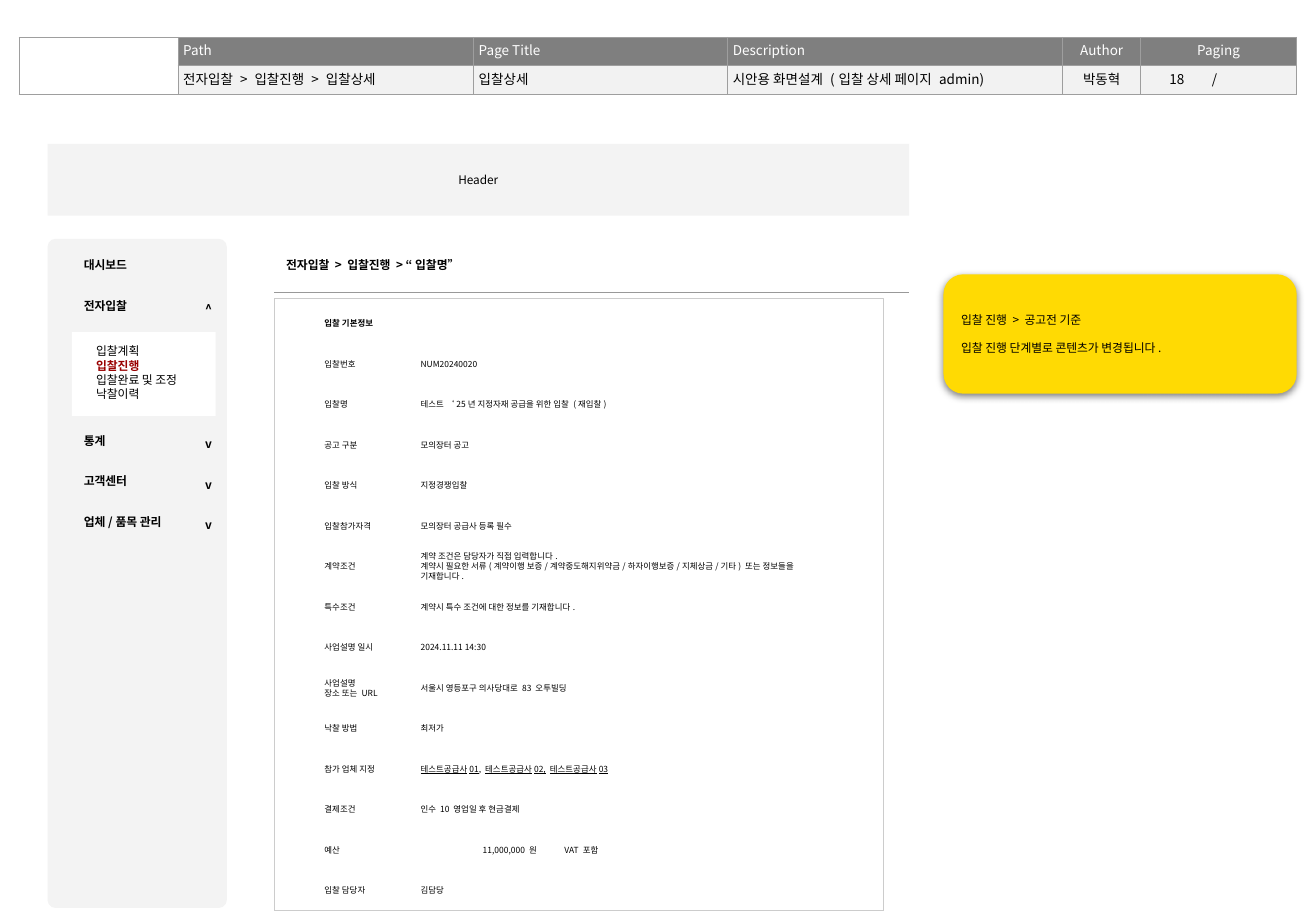
"""Build the admin wireframe slide for the bid detail page."""
from dataclasses import dataclass

from lxml.etree import SubElement
from pptx import Presentation
from pptx.dml.color import RGBColor
from pptx.enum.shapes import MSO_CONNECTOR, MSO_SHAPE as Preset
from pptx.enum.text import MSO_ANCHOR as Anchor, PP_ALIGN as Align
from pptx.oxml.ns import qn
from pptx.util import Emu, Pt

FONT = "Noto Sans CJK KR"
SCALE = 7620
COLORS = {
    "black": "000000", "white": "FFFFFF", "pale": "F3F3F3", "cell": "F2F2F2",
    "heading": "7F7F7F", "border": "9E9E9E", "rule": "999999", "frame": "CCCCCC",
    "active": "990000", "note": "FFDA03",
}


@dataclass(frozen=True)
class Span:
    text: str
    color: str = "black"
    bold: bool = False
    underline: bool = False


Lines = list[list[Span]]


@dataclass(frozen=True)
class Box:
    left: int
    top: int
    width: int
    height: int
    lines: Lines
    fill: str = ""
    line: str = ""
    preset: Preset = Preset.RECTANGLE
    round: float = 0.167
    size: float = 7
    align: Align = Align.LEFT
    anchor: Anchor = Anchor.MIDDLE
    gap: float = 0


@dataclass(frozen=True)
class Cell:
    text: str
    align: Align = Align.LEFT
    inset: int = 5
    sides: str = "LRTB"


@dataclass(frozen=True)
class Field:
    label: str
    value: Lines
    width: int = 425
    align: Align = Align.LEFT
    bold: bool = False


def px(count: int) -> Emu:
    return Emu(count * SCALE)


def rgb(name: str) -> RGBColor:
    return RGBColor.from_string(COLORS[name])


def plain(*texts: str, bold: bool = False, color: str = "black") -> Lines:
    return [[Span(text, color, bold)] for text in texts]


def write(frame, lines: Lines, size: float, align: Align, gap: float = 0) -> None:
    for index, spans in enumerate(lines):
        para = frame.add_paragraph() if index else frame.paragraphs[0]
        para.alignment = align
        para.line_spacing = Pt(size * 1.2)
        if index and gap:
            para.space_before = Pt(gap)
        for item in spans:
            span = para.add_run()
            span.text = item.text
            font = span.font
            font.size, font.name = Pt(size), FONT
            font.bold, font.underline = item.bold, item.underline
            font.color.rgb = rgb(item.color)
            SubElement(font._element, qn("a:ea"), typeface=FONT)
        if not spans:
            SubElement(para._p, qn("a:endParaRPr"), sz=str(int(size * 100)))


def draw_box(page, box: Box):
    place = [px(n) for n in (box.left, box.top, box.width, box.height)]
    shape = page.shapes.add_shape(box.preset, *place)
    shape.shadow.inherit = False
    if box.preset == Preset.ROUNDED_RECTANGLE:
        shape.adjustments[0] = box.round
    if box.fill:
        shape.fill.solid()
        shape.fill.fore_color.rgb = rgb(box.fill)
    else:
        shape.fill.background()
    if box.line:
        shape.line.color.rgb = rgb(box.line)
        shape.line.width = Pt(0.75)
    else:
        shape.line.fill.background()
    frame = shape.text_frame
    frame.word_wrap, frame.vertical_anchor = True, box.anchor
    frame.margin_left = frame.margin_right = px(12)
    frame.margin_top = frame.margin_bottom = px(12)
    write(frame, box.lines, box.size, box.align, box.gap)
    return shape


def draw_label(page, left: int, top: int, width: int, text: str,
               align: Align = Align.LEFT, anchor: Anchor = Anchor.TOP) -> None:
    frame = page.shapes.add_textbox(px(left), px(top), px(width), px(35)).text_frame
    frame.word_wrap, frame.vertical_anchor = True, anchor
    frame.margin_left = frame.margin_right = px(12)
    frame.margin_top = frame.margin_bottom = px(12)
    write(frame, plain(text, bold=True), 7, align)


def draw_cell(target, cell: Cell, fill: str, color: str) -> None:
    props = target._tc.get_or_add_tcPr()
    for side in "LRTB":
        edge = SubElement(props, qn(f"a:ln{side}"), w=str(Pt(0.75)))
        if side in cell.sides:
            paint = SubElement(edge, qn("a:solidFill"))
            SubElement(paint, qn("a:srgbClr"), val=COLORS["border"])
        else:
            SubElement(edge, qn("a:noFill"))
    if fill:
        target.fill.solid()
        target.fill.fore_color.rgb = rgb(fill)
    else:
        target.fill.background()
    target.vertical_anchor = Anchor.MIDDLE
    target.margin_left = target.margin_right = px(cell.inset)
    target.margin_top = target.margin_bottom = px(5)
    lines = plain(cell.text, color=color) if cell.text else [[]]
    write(target.text_frame, lines, 8, cell.align)


def draw_info_table(page) -> None:
    widths = (157, 292, 251, 331, 77, 48, 50, 56)
    center = Align.CENTER
    rows = (
        [Cell(""), Cell("Path"), Cell("Page Title"), Cell("Description"),
         Cell("Author", center), Cell("Paging", center), Cell(""), Cell("")],
        [Cell(""), Cell("전자입찰 > 입찰진행 > 입찰상세"), Cell("입찰상세"),
         Cell("시안용 화면설계 (입찰 상세 페이지 admin)"), Cell("박동혁", center),
         Cell("18", Align.RIGHT, sides="LTB"), Cell("/", center, 2, "TB"),
         Cell("", sides="RTB")],
    )
    table = page.shapes.add_table(2, 8, px(19), px(37), px(sum(widths)), px(56)).table
    table.first_row = table.horz_banding = False
    for column, width in zip(table.columns, widths):
        column.width = px(width)
    styles = (("heading", "white"), ("cell", "black"))
    for r, (cells, (fill, color)) in enumerate(zip(rows, styles)):
        table.rows[r].height = px(28)
        for c, cell in enumerate(cells):
            draw_cell(table.cell(r, c), cell, fill if c else "", color)
    table.cell(0, 0).merge(table.cell(1, 0))
    table.cell(0, 5).merge(table.cell(0, 7))


def draw_menu(page) -> None:
    draw_box(page, Box(47, 236, 177, 661, [[]], "pale",
                       preset=Preset.ROUNDED_RECTANGLE, round=0.044))
    menu = ((248, "대시보드", ""), (288, "전자입찰", "^"), (421, "통계", "v"),
            (461, "고객센터", "v"), (501, "업체/품목 관리", "v"))
    for top, name, arrow in menu:
        draw_label(page, 71, top, 154, name)
        if arrow:
            draw_label(page, 188, top, 36, arrow, Align.CENTER, Anchor.MIDDLE)
    submenu = plain("입찰계획", "입찰진행", "입찰완료 및 조정", "낙찰이력")
    submenu[1] = [Span("입찰진행", "active", True)]
    shape = draw_box(page, Box(71, 328, 142, 83, submenu, "white", anchor=Anchor.TOP))
    shape.text_frame.margin_left = px(24)


def draw_fields(page) -> None:
    suppliers = [[Span("테스트공급사01", underline=True), Span(", "),
                  Span("테스트공급사02,", underline=True), Span(" "),
                  Span("테스트공급사03", underline=True)]]
    terms = plain("계약 조건은 담당자가 직접 입력합니다.",
                  "계약시 필요한 서류(계약이행 보증/계약중도해지위약금/하자이행보증/지체상금/기타) 또는 정보들을 기재합니다.")
    fields = (
        Field("입찰 기본정보", [], bold=True),
        Field("입찰번호", plain("NUM20240020")),
        Field("입찰명", plain("테스트 ‘25년 지정자재 공급을 위한 입찰 (재입찰)")),
        Field("공고 구분", plain("모의장터 공고")),
        Field("입찰 방식", plain("지정경쟁입찰")),
        Field("입찰참가자격", plain("모의장터 공급사 등록 필수")),
        Field("계약조건", terms),
        Field("특수조건", plain("계약시 특수 조건에 대한 정보를 기재합니다.")),
        Field("사업설명 일시", plain("2024.11.11 14:30"), 212),
        Field("사업설명\n장소 또는 URL", plain("서울시 영등포구 의사당대로 83 오투빌딩")),
        Field("낙찰 방법", plain("최저가")),
        Field("참가 업체 지정", suppliers),
        Field("결제조건", plain("인수 10 영업일 후 현금결제")),
        Field("예산", plain("11,000,000 원"), 142, Align.RIGHT),
        Field("입찰 담당자", plain("김담당"), 142),
    )
    rounded = Preset.ROUNDED_RECTANGLE
    for index, field in enumerate(fields):
        top = 302 + 40 * index
        label = plain(*field.label.split("\n"), bold=field.bold)
        draw_box(page, Box(307, top, 95, 35, label, preset=rounded, size=5))
        if field.value:
            draw_box(page, Box(402, top, field.width, 35, field.value, "white",
                               preset=rounded, size=5, align=field.align))
        if field.label == "예산":
            draw_box(page, Box(544, top, 71, 35, plain("VAT 포함"),
                               preset=rounded, size=5))


def draw_note(page) -> None:
    lines = plain("입찰 진행 > 공고전 기준", "입찰 진행 단계별로 콘텐츠가 변경됩니다.")
    note = draw_box(page, Box(932, 271, 349, 118, lines, "note",
                              preset=Preset.ROUNDED_RECTANGLE, gap=8.4))
    effects = note._element.spPr.find(qn("a:effectLst"))
    shadow = SubElement(effects, qn("a:outerShdw"), blurRad=str(Pt(4.5)),
                        dist=str(Pt(1.5)), dir="5400000", algn="bl", rotWithShape="0")
    tint = SubElement(shadow, qn("a:srgbClr"), val=COLORS["black"])
    SubElement(tint, qn("a:alpha"), val="50000")


def main() -> None:
    deck = Presentation()
    deck.slide_width, deck.slide_height = px(1300), px(900)
    page = deck.slides.add_slide(deck.slide_layouts[6])
    draw_info_table(page)
    draw_box(page, Box(47, 142, 851, 71, plain("Header"), "pale", align=Align.CENTER))
    draw_menu(page)
    draw_label(page, 271, 248, 283, "전자입찰 > 입찰진행 > “입찰명”")
    rule = page.shapes.add_connector(MSO_CONNECTOR.STRAIGHT,
                                     px(271), px(289), px(898), px(289))
    rule.line.color.rgb, rule.line.width = rgb("rule"), Pt(0.75)
    SubElement(rule._element.spPr, qn("a:effectLst"))
    draw_box(page, Box(271, 295, 602, 605, [[]], "white", "frame"))
    draw_fields(page)
    draw_note(page)
    deck.save("out.pptx")


if __name__ == "__main__":
    main()
